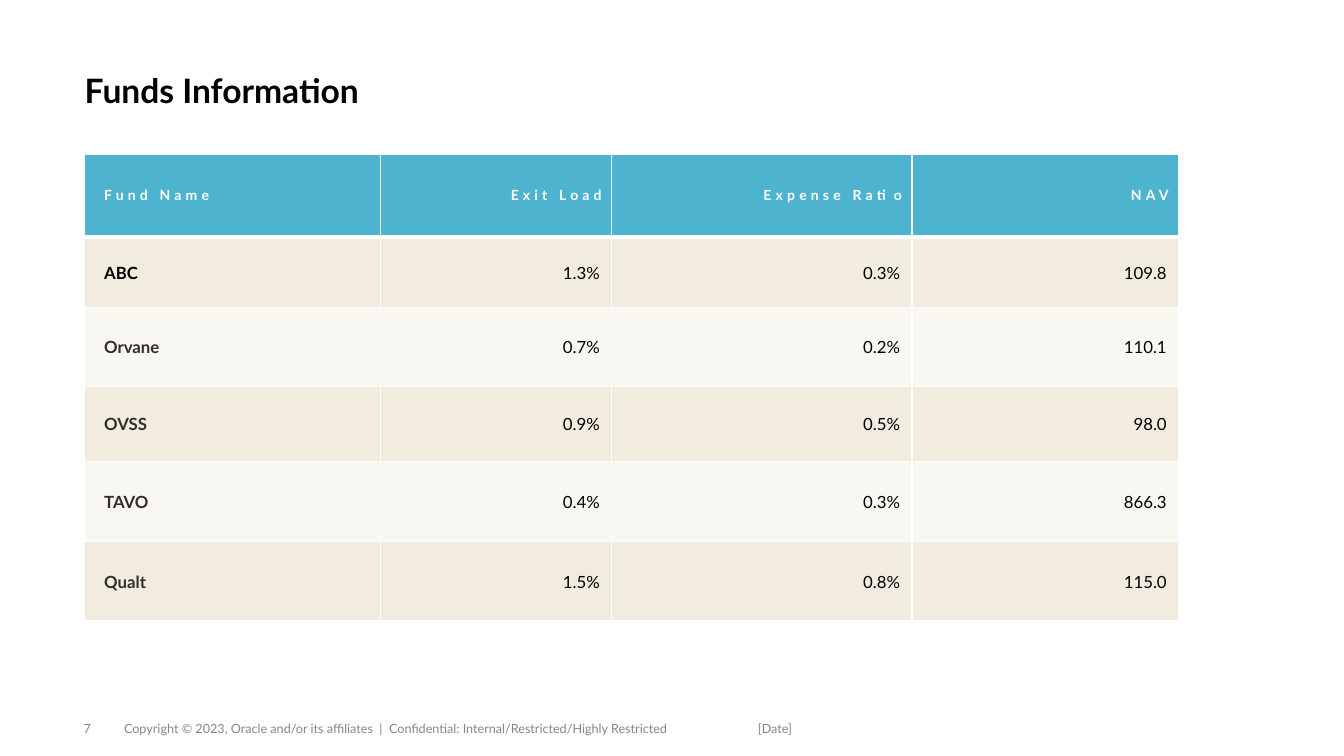
import pptx
import pptx.dml.color
import pptx.enum.text
import pptx.oxml
import pptx.oxml.ns
import pptx.util

Pt = pptx.util.Pt
ALIGN = pptx.enum.text.PP_ALIGN
ANCHOR = pptx.enum.text.MSO_ANCHOR
COLORS = {
    "black": "000000",
    "white": "FFFFFF",
    "ink": "312D2A",
    "grey": "8B8580",
    "header": "4EB3CF",
    "band": "E5DBBE",
}
NAMESPACE = pptx.oxml.ns.nsdecls("a")


def write(frame, text, size=12, color="black", bold=False, align=ALIGN.LEFT,
          anchor=ANCHOR.MIDDLE, spacing=0, line_spacing=None):
    frame.word_wrap = True
    frame.vertical_anchor = anchor
    para = frame.paragraphs[0]
    para.alignment = align
    para.line_spacing = line_spacing
    span = para.add_run()
    span.text = text
    span.font.name = "Lato"
    span.font.size = Pt(size)
    span.font.bold = bold
    span.font.color.rgb = pptx.dml.color.RGBColor.from_string(COLORS[color])
    if spacing:
        span.font._element.set("spc", str(spacing * 100))


def paint(cell, color, opacity, bottom_width):
    cell.fill.solid()
    cell.fill.fore_color.rgb = pptx.dml.color.RGBColor.from_string(COLORS[color])
    properties = cell._tc.get_or_add_tcPr()
    if opacity < 100:
        shade = properties.find(".//" + pptx.oxml.ns.qn("a:srgbClr"))
        shade.append(pptx.oxml.parse_xml(f'<a:alpha {NAMESPACE} val="{opacity * 1000}"/>'))
    widths = {"lnL": 1, "lnR": 1, "lnT": 1, "lnB": bottom_width}
    for position, (side, width) in enumerate(widths.items()):
        properties.insert(position, pptx.oxml.parse_xml(
            f'<a:{side} {NAMESPACE} w="{Pt(width)}"><a:solidFill>'
            f'<a:srgbClr val="{COLORS["white"]}"/></a:solidFill></a:{side}>'))


deck = pptx.Presentation()
deck.slide_width, deck.slide_height = Pt(960), Pt(540)
page = deck.slides.add_slide(deck.slide_layouts[5])

# Title
title = page.shapes.title
title.left, title.top, title.width, title.height = Pt(60.5), Pt(14.4), Pt(840), Pt(64.8)
frame = title.text_frame
frame.margin_left = frame.margin_right = frame.margin_top = frame.margin_bottom = 0
write(frame, "Funds Information", size=24, bold=True, anchor=ANCHOR.BOTTOM, line_spacing=0.95)

# Funds table
funds = [
    ["Fund Name", "Exit Load", "Expense Ratio", "NAV"],
    ["ABC", "1.3%", "0.3%", "109.8"],
    ["Orvane", "0.7%", "0.2%", "110.1"],
    ["OVSS", "0.9%", "0.5%", "98.0"],
    ["TAVO", "0.4%", "0.3%", "866.3"],
    ["Qualt", "1.5%", "0.8%", "115.0"],
]
column_widths = [211.5, 165.5, 214.5, 190.5]
row_heights = [59, 50.4, 56.2, 54, 57, 56.6]
table = page.shapes.add_table(
    len(funds), len(column_widths), Pt(60), Pt(110.2),
    Pt(sum(column_widths)), Pt(sum(row_heights))).table
for column, width in zip(table.columns, column_widths):
    column.width = Pt(width)

for row_index, values in enumerate(funds):
    table.rows[row_index].height = Pt(row_heights[row_index])
    for column_index, value in enumerate(values):
        cell = table.cell(row_index, column_index)
        is_name = column_index == 0
        align = ALIGN.LEFT if is_name else ALIGN.RIGHT
        cell.margin_left = Pt(14.4)
        cell.vertical_anchor = ANCHOR.MIDDLE
        if row_index == 0:
            cell.margin_right = Pt(7.2)
            cell.margin_top = cell.margin_bottom = Pt(3.6)
            write(cell.text_frame, value, size=10, color="white", bold=True,
                  align=align, spacing=3)
            paint(cell, "header", 100, 3)
        else:
            cell.margin_right = Pt(0.7 if is_name else 8.6)
            cell.margin_top, cell.margin_bottom = Pt(0.7), Pt(0)
            write(cell.text_frame, value, bold=is_name, align=align,
                  color="ink" if is_name and row_index > 1 else "black")
            paint(cell, "band", 50 if row_index % 2 else 20, 1)

# Footer: page number, copyright, date
footer = [
    ("7", 59.8, 28.8),
    ("Copyright © 2023, Oracle and/or its affiliates  |  "
     "Confidential: Internal/Restricted/Highly Restricted", 88.6, 452.2),
    ("[Date]", 541.4, 216),
]
for text, left, width in footer:
    box = page.shapes.add_textbox(Pt(left), Pt(506.2), Pt(width), Pt(28.8))
    frame = box.text_frame
    frame.margin_left = frame.margin_right = frame.margin_top = frame.margin_bottom = 0
    write(frame, text, size=9, color="grey")

deck.save("out.pptx")
